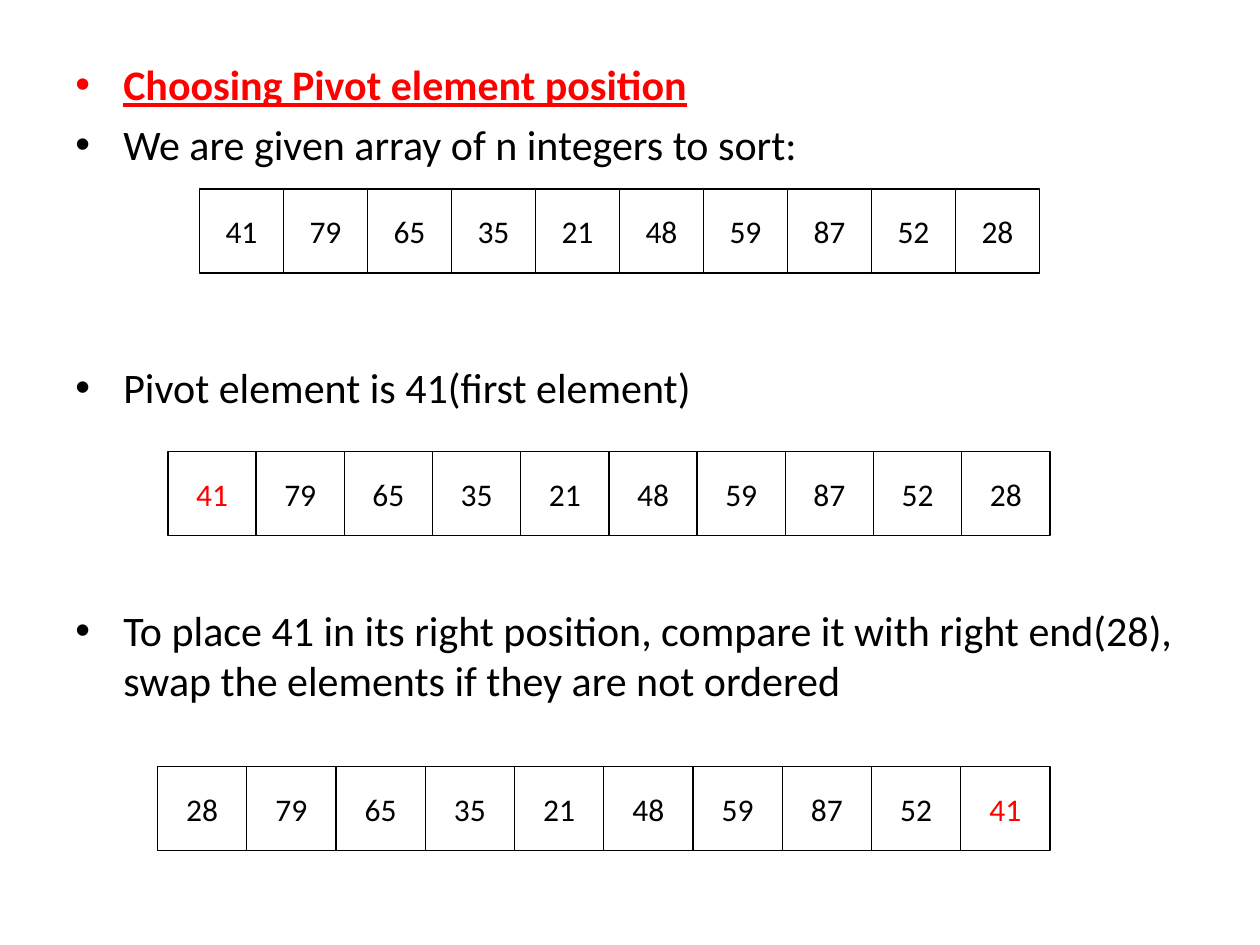
from lxml import etree
from pptx import Presentation, util as u
from pptx.dml.color import RGBColor
from pptx.enum import shapes, text
from pptx.oxml.ns import qn

HUES = {"ink": "000000", "mark": "FF0000", "paper": "FFFFFF"}


class Deck:
    """Style and current slide; lengths are units of a 120 x 90 grid."""
    font = "Calibri"
    cols, rows = 120, 90

    def __init__(self):
        self.prs = Presentation()
        self.prs.slide_width, self.prs.slide_height = u.Inches(10), u.Inches(7.5)
        self.slide = self.prs.slides.add_slide(self.prs.slide_layouts[6])

    def place(self, x, y, w, h):
        dx = self.prs.slide_width / self.cols
        dy = self.prs.slide_height / self.rows
        return [round(n) for n in (x * dx, y * dy, w * dx, h * dy)]

    def hue(self, name):
        return RGBColor.from_string(HUES[name])

    def label(self, para, words, hue="ink", **form):
        run = para.add_run()
        run.text = words
        run.font.color.rgb = self.hue(hue)
        for key, val in {"name": self.font, **form}.items():
            setattr(run.font, key, val)

    def bullet(self, para, hue):
        props = para._p.get_or_add_pPr()
        props.set("marL", str(u.Inches(0.38)))
        props.set("indent", str(-u.Inches(0.38)))
        tint = etree.SubElement(props, qn("a:buClr"))
        etree.SubElement(tint, qn("a:srgbClr"), val=HUES[hue])
        etree.SubElement(props, qn("a:buFont"), typeface="Arial")
        etree.SubElement(props, qn("a:buChar"), char="•")

    def points(self, spot, items):
        frame = self.slide.shapes.add_textbox(*self.place(*spot)).text_frame
        frame.word_wrap = True
        for i, (words, gap, hue, form) in enumerate(items):
            para = frame.add_paragraph() if i else frame.paragraphs[0]
            self.bullet(para, hue)
            if gap:
                para.space_before = u.Pt(gap)
            self.label(para, words, hue, size=u.Pt(24), **form)

    def cell(self, group, spot, num, hue):
        box = group.shapes.add_shape(shapes.MSO_SHAPE.RECTANGLE, *self.place(*spot))
        box.shadow.inherit = False
        box.fill.solid()
        box.fill.fore_color.rgb = self.hue("paper")
        box.line.color.rgb = self.hue("ink")
        box.line.width = u.Pt(0.75)
        frame = box.text_frame
        frame.word_wrap = False
        frame.vertical_anchor = text.MSO_ANCHOR.MIDDLE
        para = frame.paragraphs[0]
        para.alignment = text.PP_ALIGN.CENTER
        self.label(para, str(num), hue, size=u.Pt(18))

    def array(self, x, y, wide, nums, pivot=None):
        group = self.slide.shapes.add_group_shape()
        for i, num in enumerate(nums):
            hue = "mark" if num == pivot else "ink"
            self.cell(group, (x + i * wide, y, wide, 8), num, hue)


def main():
    deck = Deck()

    # Heading and steps, spaced to leave room for the arrays
    near, far = 5.5, 110
    deck.points((6, 5, 111, 82), [
        ("Choosing Pivot element position", 0, "mark",
         {"bold": True, "underline": True}),
        ("We are given array of n integers to sort:", near, "ink", {}),
        ("Pivot element is 41(first element)", far, "ink", {}),
        ("To place 41 in its right position, compare it with right end(28), "
         "swap the elements if they are not ordered", far, "ink", {}),
    ])

    # Array as given, with its pivot, and after the swap of both ends
    nums = [41, 79, 65, 35, 21, 48, 59, 87, 52, 28]
    swapped = [nums[-1], *nums[1:-1], nums[0]]
    deck.array(19, 18, 8, nums)
    deck.array(16, 43, 8.4, nums, pivot=41)
    deck.array(15, 73, 8.5, swapped, pivot=41)

    deck.prs.save("out.pptx")


if __name__ == "__main__":
    main()
